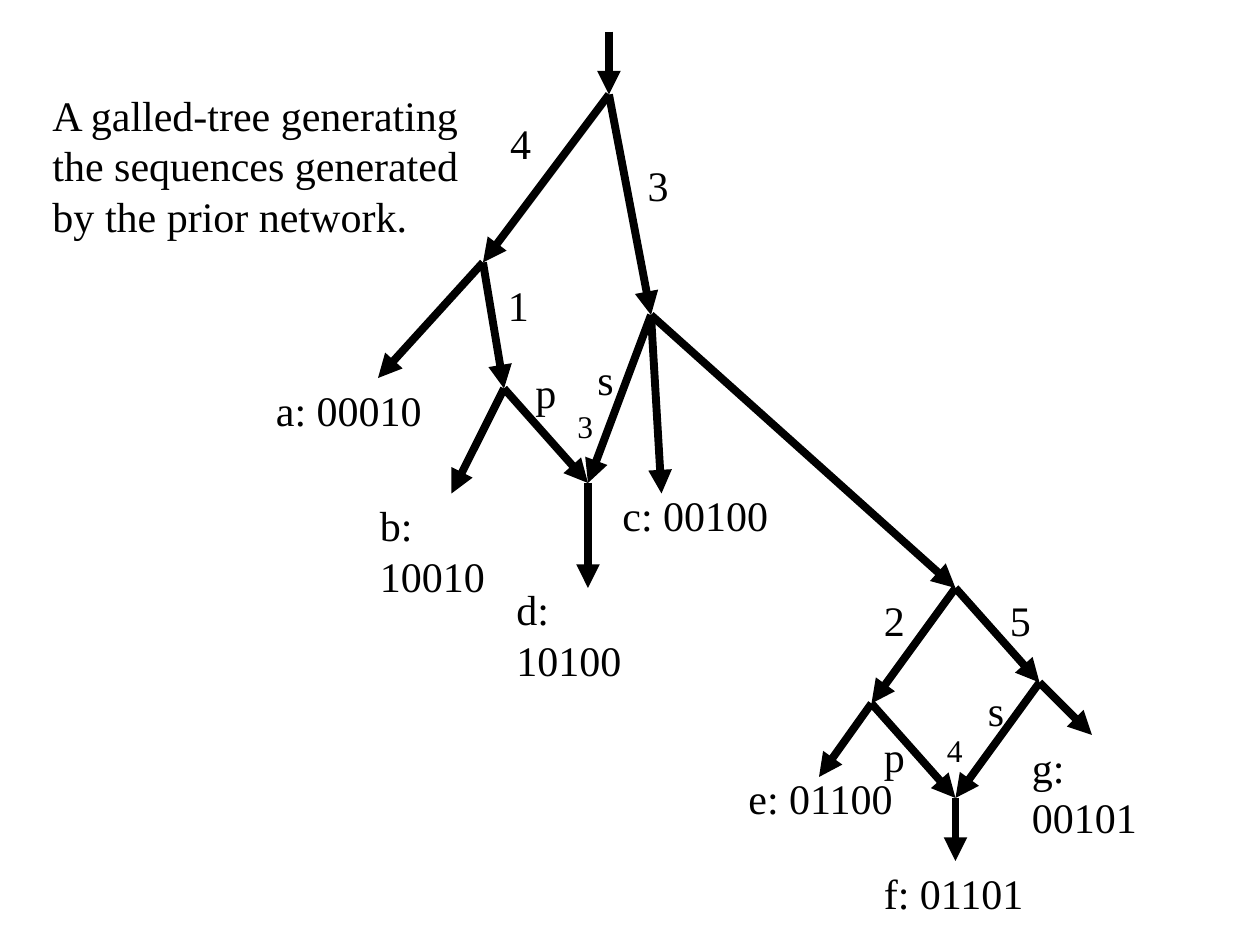
import pptx
import pptx.util
import pptx.dml.color
import pptx.enum.shapes
import pptx.enum.text
import pptx.oxml
import pptx.oxml.ns
from dataclasses import dataclass
from lxml import etree

COLS, ROWS = 120, 90


@dataclass(frozen=True)
class Theme:
    font: str = "Times New Roman"
    ink: str = "000000"
    paper: str = "FFFFFF"
    text_size: float = 24
    small_size: float = 18
    line_width: float = 4.5


THEME = Theme()

# Tree nodes as (column, row)
NODES = {
    "top": (58, 3), "root": (58, 9),
    "left": (46, 25), "left_low": (48, 37), "right": (62, 30), "join_d": (56, 46),
    "fork": (91, 56), "fork_left": (83, 67), "fork_right": (99, 65), "join_f": (91, 76),
    "a": (36, 36), "b": (43, 47), "c": (63, 47), "d": (56, 56),
    "e": (78, 74), "f": (91, 82), "g": (104, 70),
}

EDGES = [
    ("root", "left"), ("left", "left_low"), ("left_low", "join_d"),
    ("root", "right"), ("right", "join_d"), ("left", "a"), ("left_low", "b"),
    ("top", "root"), ("right", "fork"), ("fork", "fork_right"),
    ("fork", "fork_left"), ("fork_left", "join_f"), ("fork_right", "join_f"),
    ("join_f", "f"), ("fork_left", "e"), ("fork_right", "g"),
    ("join_d", "d"), ("right", "c"),
]

# Text, column, row, width in columns
LABELS = [
    ("4", 47.4, 10.6, 4.3), ("1", 47.2, 26, 4.3), ("3", 60.5, 14.6, 4.3),
    ("2", 83, 56, 4.3), ("5", 95, 56, 4.3),
    ("a: 00010", 25.1, 36, 16.4), ("b: 10010", 35, 47, 16.4),
    ("d: 10100", 48, 55, 16.4), ("c: 00100", 58.1, 46, 16.4),
    ("e: 01100", 70.1, 73, 16.4), ("f: 01101", 83, 82, 15.8),
    ("g: 00101", 97.1, 70, 16.4),
    ("p", 49.8, 34.3, 4.3), ("s", 55.7, 33.1, 4),
    ("p", 83, 69, 4.3), ("s", 92.9, 64.6, 4),
]

CROSSOVERS = [("3", 53.8, 38.2, 3.8), ("4", 89, 69, 3.8)]

CAPTION = ["A galled-tree generating", "the sequences generated", "by the prior network."]


def grid(prs, col, row):
    return round(prs.slide_width * col / COLS), round(prs.slide_height * row / ROWS)


def rgb(color):
    return pptx.dml.color.RGBColor.from_string(color)


def write(shape, *lines, size=THEME.text_size, color=THEME.ink, font=THEME.font):
    """Fill a shape with one left-aligned, unwrapped paragraph per line."""
    tf = shape.text_frame
    tf.word_wrap = False
    tf.auto_size = pptx.enum.text.MSO_AUTO_SIZE.SHAPE_TO_FIT_TEXT
    tf.vertical_anchor = pptx.enum.text.MSO_ANCHOR.TOP
    for i, line in enumerate(lines):
        p = tf.paragraphs[0] if i == 0 else tf.add_paragraph()
        p.alignment = pptx.enum.text.PP_ALIGN.LEFT
        r = p.add_run()
        r.text = line
        r.font.size = pptx.util.Pt(size)
        r.font.name = font
        r.font.color.rgb = rgb(color)


def add_label(prs, s, text, col, row, width, height=6, **style):
    sp = s.shapes.add_textbox(*grid(prs, col, row), *grid(prs, width, height))
    write(sp, text, **style)


def add_edge(prs, s, start, end):
    line = s.shapes.add_connector(
        pptx.enum.shapes.MSO_CONNECTOR.STRAIGHT,
        *grid(prs, *NODES[start]), *grid(prs, *NODES[end]))
    line.line.width = pptx.util.Pt(THEME.line_width)
    line.line.color.rgb = rgb(THEME.ink)
    qn = pptx.oxml.ns.qn
    etree.SubElement(line.line._get_or_add_ln(), qn("a:tailEnd"), type="triangle")
    etree.SubElement(line._element.spPr, qn("a:effectLst"))


def add_caption(prs, s):
    title = s.shapes.title
    title.left, title.top = grid(prs, 3.8, 7.9)
    title.width, title.height = grid(prs, 41.3, 15.6)
    write(title, *CAPTION)


def main():
    prs = pptx.Presentation()
    prs.slide_width = pptx.util.Inches(10)
    prs.slide_height = pptx.util.Inches(7.5)
    s = prs.slides.add_slide(prs.slide_layouts.get_by_name("Title Only"))
    s.background.fill.solid()
    s.background.fill.fore_color.rgb = rgb(THEME.paper)

    add_caption(prs, s)
    for edge in EDGES:
        add_edge(prs, s, *edge)
    for label in LABELS:
        add_label(prs, s, *label)
    for label in CROSSOVERS:
        add_label(prs, s, *label, height=4.8, size=THEME.small_size)
    prs.save("out.pptx")


if __name__ == "__main__":
    main()
